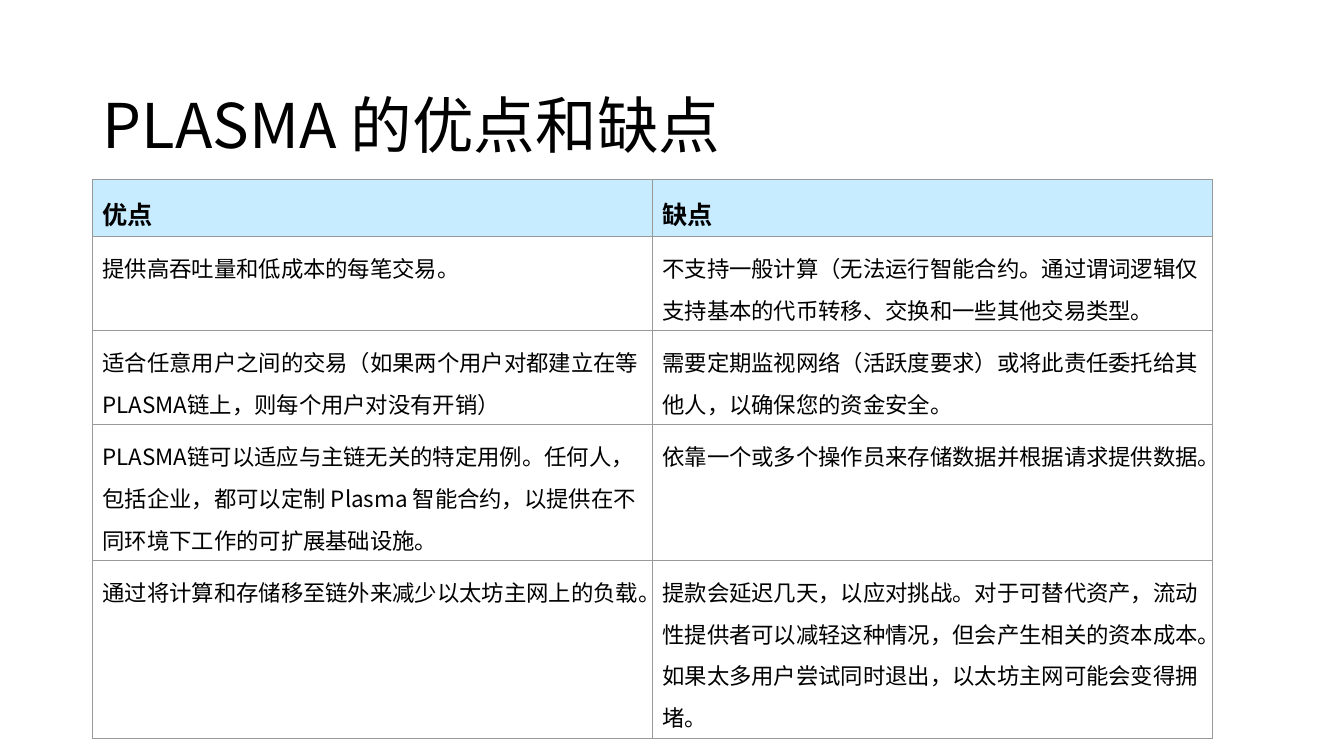
from lxml.etree import SubElement as Sub
from pptx import Presentation
from pptx.dml.color import RGBColor as RGB
from pptx.enum.text import MSO_ANCHOR as Anchor, MSO_AUTO_SIZE as Auto, PP_ALIGN as Align
from pptx.oxml.ns import qn
from pptx.util import Cm, Pt

BLACK = RGB(0x00, 0x00, 0x00)
WHITE = RGB(0xFF, 0xFF, 0xFF)
SKY = RGB(0xC7, 0xEC, 0xFF)
GREY = RGB(0x99, 0x99, 0x99)
HEAD_FONT = "Noto Sans CJK SC"
BODY_FONT = "Noto Sans CJK JP"

ROWS = [
    ("优点", "缺点"),
    ("提供高吞吐量和低成本的每笔交易。",
     "不支持一般计算（无法运行智能合约。通过谓词逻辑仅支持基本的代币转移、交换和一些其他交易类型。"),
    ("适合任意用户之间的交易（如果两个用户对都建立在等PLASMA链上，则每个用户对没有开销）",
     "需要定期监视网络（活跃度要求）或将此责任委托给其他人，以确保您的资金安全。"),
    ("PLASMA链可以适应与主链无关的特定用例。任何人，包括企业，都可以定制 Plasma 智能合约，以提供在不同环境下工作的可扩展基础设施。",
     "依靠一个或多个操作员来存储数据并根据请求提供数据。"),
    ("通过将计算和存储移至链外来减少以太坊主网上的负载。",
     "提款会延迟几天，以应对挑战。对于可替代资产，流动性提供者可以减轻这种情况，但会产生相关的资本成本。如果太多用户尝试同时退出，以太坊主网可能会变得拥堵。"),
]


def write(frame, text, size, face, bold=False):
    frame.text = text
    para = frame.paragraphs[0]
    para.alignment = Align.LEFT
    para.line_spacing = 1.3
    font = para.font
    font.size = Pt(size)
    font.bold = bold
    font.color.rgb = BLACK
    font.name = face
    Sub(font._rPr, qn("a:ea"), typeface=face)


def edge(cell):
    props = cell._tc.get_or_add_tcPr()
    for side in "LRTB":
        line = Sub(props, qn("a:ln" + side), w=str(Pt(1)))
        fill = Sub(line, qn("a:solidFill"))
        Sub(fill, qn("a:srgbClr"), val=str(GREY))


def add_title(slide, left, top, width, height):
    title = slide.shapes.title
    title.left, title.top = left, top
    title.width, title.height = width, height
    frame = title.text_frame
    frame.auto_size = Auto.NONE
    frame.vertical_anchor = Anchor.MIDDLE
    write(frame, "PLASMA 的优点和缺点", 44, HEAD_FONT)


def add_grid(slide, left, top, width, height):
    table = slide.shapes.add_table(len(ROWS), 2, left, top, width, height).table
    table.first_row = False
    table.horz_banding = False
    for row, texts in enumerate(ROWS):
        head = row == 0
        for col, text in enumerate(texts):
            cell = table.cell(row, col)
            edge(cell)
            cell.fill.solid()
            cell.fill.fore_color.rgb = SKY if head else WHITE
            write(cell.text_frame, text, 18 if head else 16, BODY_FONT, head)


def main():
    deck = Presentation()
    deck.slide_width, deck.slide_height = Cm(33.87), Cm(19.05)
    slide = deck.slides.add_slide(deck.slide_layouts[5])
    left = Cm(2.33)
    add_title(slide, left, Cm(1.01), Cm(29.21), Cm(3.68))
    add_grid(slide, left, Cm(4.52), Cm(28.22), Cm(1.07) * len(ROWS))
    deck.save("out.pptx")


if __name__ == "__main__":
    main()
